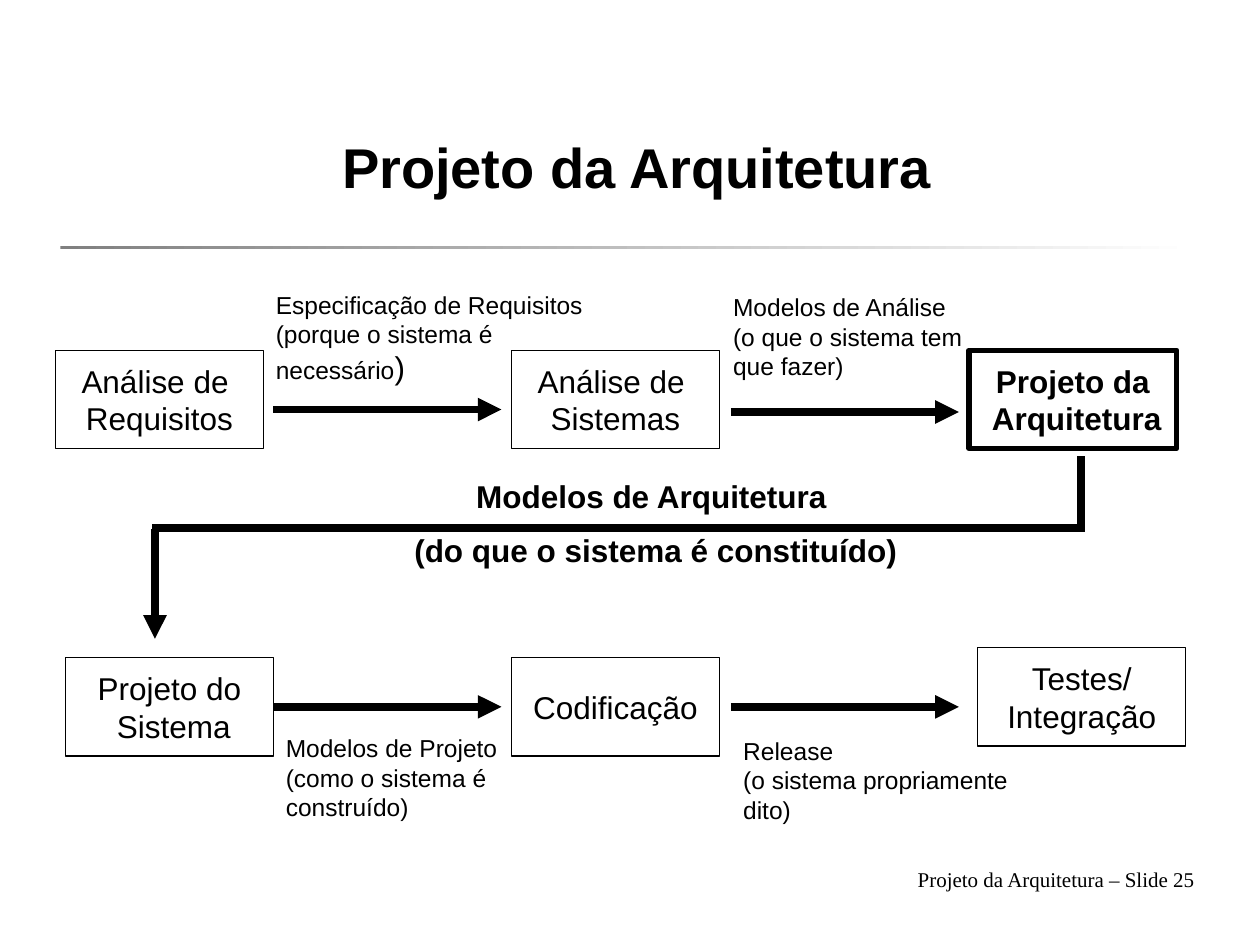
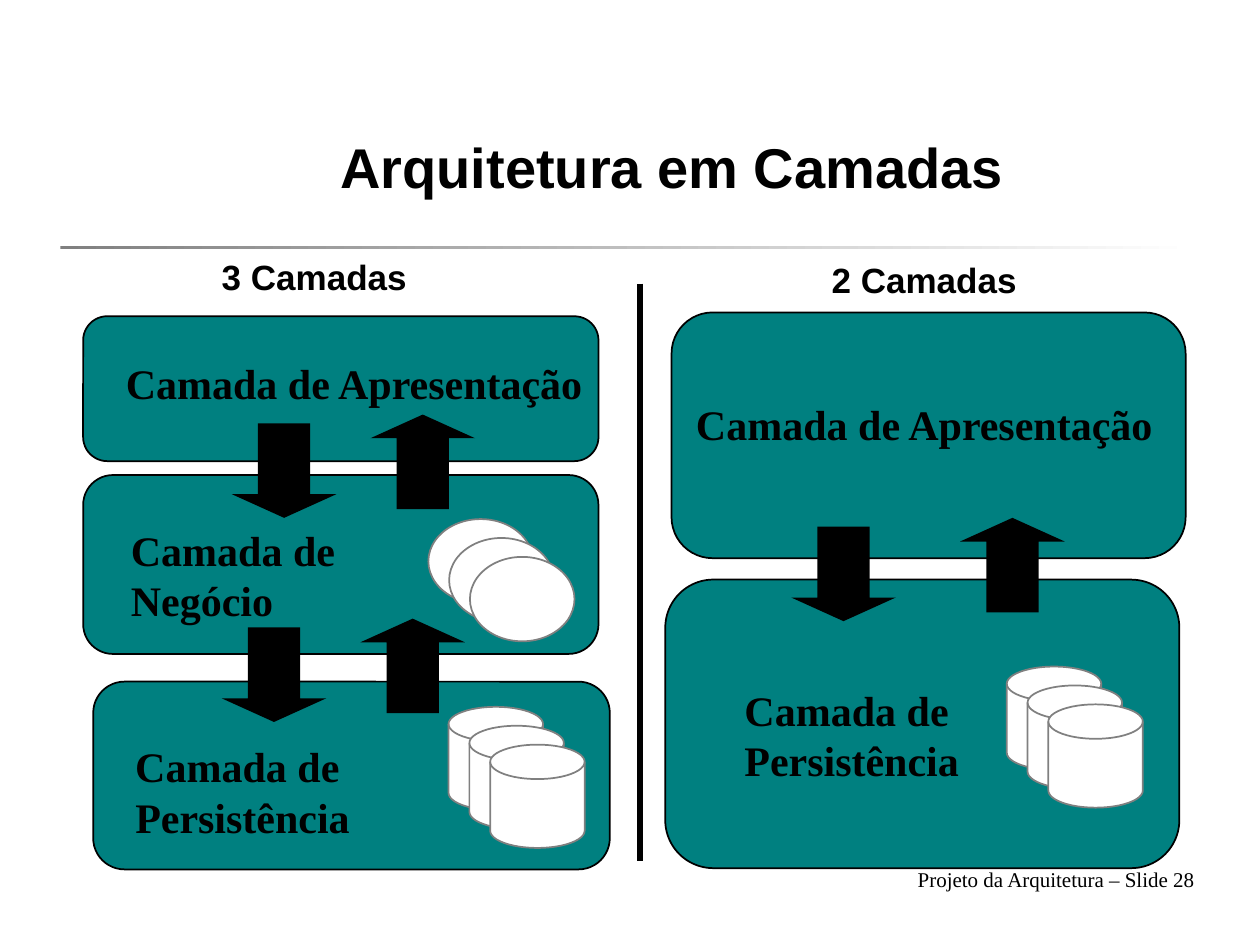
from lxml import etree
from pptx import Presentation
from pptx.dml.color import RGBColor
from pptx.enum.shapes import MSO_CONNECTOR, MSO_SHAPE
from pptx.enum.text import MSO_ANCHOR, PP_ALIGN
from pptx.oxml.ns import qn
from pptx.util import Inches, Pt

LEFT, CENTER, RIGHT = PP_ALIGN.LEFT, PP_ALIGN.CENTER, PP_ALIGN.RIGHT
TOP, MIDDLE = MSO_ANCHOR.TOP, MSO_ANCHOR.MIDDLE
STRAIGHT = MSO_CONNECTOR.STRAIGHT
RECT, ROUNDED = MSO_SHAPE.RECTANGLE, MSO_SHAPE.ROUNDED_RECTANGLE
OVAL, DISK = MSO_SHAPE.OVAL, MSO_SHAPE.FLOWCHART_MAGNETIC_DISK
DOWN_ARROW = MSO_SHAPE.DOWN_ARROW

BLACK, WHITE, GRAY, TEAL = "000000", "FFFFFF", "808080", "008080"
SANS, SERIF = "Arial", "Times New Roman"

STEP_SIZE = (1.65, 0.78)
STEPS = {
    "requisitos": (0.44, 2.78, ["Análise de ", "Requisitos"]),
    "sistemas": (4.06, 2.78, ["Análise de ", "Sistemas"]),
    "arquitetura": (7.69, 2.78, ["Projeto da", " Arquitetura"]),
    "sistema": (0.52, 5.22, ["Projeto do", " Sistema"]),
    "codificação": (4.06, 5.22, ["Codificação"]),
    "testes": (7.76, 5.14, ["Testes/", "Integração"]),
}
CURRENT_STEP = "arquitetura"
FLOWS = [
    ((2.17, 3.25), (3.98, 3.25), True, None),
    ((5.8, 3.27), (7.61, 3.27), True, None),
    ((8.58, 4.17), (8.58, 3.62), False, None),
    ((8.61, 4.19), (1.21, 4.19), False, None),
    ((1.23, 4.2), (1.23, 5.07), True, None),
    ((2.17, 5.61), (3.98, 5.61), True, "sistema"),
    ((5.8, 5.61), (7.61, 5.61), True, None),
]
PRODUCTS = [
    ((2.09, 2.25, 2.78, 0.87),
     ["Especificação de Requisitos (porque o sistema é necessário"], ")"),
    ((5.72, 2.27, 2.07, 1.03),
     ["Modelos de Análise (o que o sistema tem que fazer)"], ""),
    ((2.17, 5.77, 2.54, 1.03),
     ["Modelos de Projeto", "(como o sistema é construído)"], ""),
    ((5.8, 5.79, 2.54, 1.03),
     ["Release", "(o sistema propriamente dito)"], ""),
]
ARCHITECTURE_MODELS = ["Modelos de Arquitetura ", "(do que o sistema é constituído)"]

ARCHITECTURES = [
    {
        "heading": ("3 Camadas", 0.33, 1.98),
        "layers": [(0.66, 2.51, 4.09, 1.15), (0.66, 3.77, 4.09, 1.42),
                   (0.74, 5.41, 4.1, 1.49)],
        "names": [
            (["Camada de Apresentação"], (0.9, 2.79, 3.86, 0.5), LEFT),
            (["Camada de", "Negócio"], (0.94, 4.11, 1.91, 0.9), LEFT),
            (["Camada de ", "Persistência"], (0.97, 5.83, 1.91, 0.9), CENTER),
        ],
        "exchanges": [(1.84, 3.36), (1.76, 4.98)],
        "exchange_gap": 1.1,
        "stacks": [(OVAL, (3.4, 4.12), (0.83, 0.67)),
                   (DISK, (3.56, 5.61), (0.75, 0.82))],
    },
    {
        "heading": ("2 Camadas", 5.17, 2),
        "layers": [(5.33, 2.48, 4.08, 1.95), (5.28, 4.6, 4.08, 2.29)],
        "names": [
            (["Camada de Apresentação"], (5.41, 3.11, 3.85, 0.5), CENTER),
            (["Camada de Persistência"], (5.81, 5.38, 3.18, 0.9), LEFT),
        ],
        "exchanges": [(6.28, 4.18)],
        "exchange_gap": 1.34,
        "stacks": [(DISK, (7.99, 5.29), (0.75, 0.82))],
    },
]


def color(code):
    return RGBColor.from_string(code)


def write(frame, lines, size, font=SANS, bold=False, align=LEFT, anchor=TOP,
          wrap=True, gap=0):
    frame.word_wrap = wrap
    frame.vertical_anchor = anchor
    for index, line in enumerate(lines):
        paragraph = frame.paragraphs[0] if index == 0 else frame.add_paragraph()
        paragraph.text = line
        paragraph.alignment = align
        if index and gap:
            paragraph.space_before = Pt(gap)
        paragraph.font.name = font
        paragraph.font.size = Pt(size)
        paragraph.font.bold = bold
        paragraph.font.color.rgb = color(BLACK)


def add_text(slide, box, lines, size, **style):
    frame = slide.shapes.add_textbox(*map(Inches, box)).text_frame
    write(frame, lines, size, **style)
    return frame


def add_block(slide, preset, box, fill=None, line=None, width=1):
    block = slide.shapes.add_shape(preset, *map(Inches, box))
    block.shadow.inherit = False
    if fill:
        block.fill.solid()
        block.fill.fore_color.rgb = color(fill)
    else:
        block.fill.background()
    if line:
        block.line.color.rgb = color(line)
        block.line.width = Pt(width)
    else:
        block.line.fill.background()
    return block


def add_line(slide, start, end, width, arrow=False):
    line = slide.shapes.add_connector(STRAIGHT, *map(Inches, start + end))
    line.line.color.rgb = color(BLACK)
    line.line.width = Pt(width)
    if arrow:
        etree.SubElement(line.line._get_or_add_ln(), qn("a:tailEnd"), type="triangle")
    etree.SubElement(line._element.spPr, qn("a:effectLst"))
    return line


def add_page(deck, title, title_box, number):
    slide = deck.slides.add_slide(deck.slide_layouts[6])
    rule = add_block(slide, RECT, (0.48, 1.95, 9, 0.03))
    rule.fill.gradient()
    rule.fill.gradient_angle = 0
    for stop, shade, position in zip(rule.fill.gradient_stops, (GRAY, WHITE), (0, 1)):
        stop.color.rgb = color(shade)
        stop.position = position
    add_text(slide, (6.5, 6.83, 3.08, 0.52),
             [f"Projeto da Arquitetura – Slide {number}"], 12, font=SERIF, align=RIGHT)
    add_text(slide, title_box, [title], 32, bold=True, align=CENTER, anchor=MIDDLE)
    return slide


def build_process(deck):
    slide = add_page(deck, "Projeto da Arquitetura", (1.06, 0.75, 7.99, 1.13), 25)
    steps = {}
    for key, (left, top, lines) in STEPS.items():
        current = key == CURRENT_STEP
        step = add_block(slide, RECT, (left, top, *STEP_SIZE), line=BLACK,
                         width=3 if current else 0.75)
        write(step.text_frame, lines, 18, bold=current, align=CENTER,
              anchor=MIDDLE, wrap=False)
        steps[key] = step
    for start, end, arrow, origin in FLOWS:
        flow = add_line(slide, start, end, 4.5, arrow)
        if origin:
            flow.begin_connect(steps[origin], 3)
    for box, lines, closing in PRODUCTS:
        product = add_text(slide, box, lines, 14)
        if closing:
            run = product.paragraphs[-1].add_run()
            run.text = closing
            run.font.size = Pt(18)
    add_text(slide, (2.33, 3.74, 5.75, 1.15), ARCHITECTURE_MODELS, 18, bold=True,
             align=CENTER, gap=9)


def add_exchange(slide, left, top, gap):
    for x, y, turn in ((left, top, 0), (left + gap, top - 0.07, 180)):
        arrow = add_block(slide, DOWN_ARROW, (x, y, 0.83, 0.75), fill=BLACK)
        arrow.adjustments[0] = 0.5
        arrow.adjustments[1] = 0.25
        arrow.rotation = turn


def build_layers(deck):
    slide = add_page(deck, "Arquitetura em Camadas", (1.5, 0.69, 7.67, 1.25), 28)
    add_line(slide, (5.08, 2.25), (5.08, 6.83), 3)
    for architecture in ARCHITECTURES:
        for layer in architecture["layers"]:
            add_block(slide, ROUNDED, layer, fill=TEAL, line=BLACK)
        for lines, box, align in architecture["names"]:
            add_text(slide, box, lines, 24, font=SERIF, bold=True, align=align)
        for left, top in architecture["exchanges"]:
            add_exchange(slide, left, top, architecture["exchange_gap"])
        for preset, (left, top), size in architecture["stacks"]:
            for i in range(3):
                add_block(slide, preset, (left + 0.165 * i, top + 0.15 * i, *size),
                          fill=WHITE, line=GRAY)
        heading, left, top = architecture["heading"]
        add_text(slide, (left, top, 4.33, 0.43), [heading], 20, bold=True, align=CENTER)


def main():
    deck = Presentation()
    deck.slide_width, deck.slide_height = Inches(10), Inches(7.5)
    build_process(deck)
    build_layers(deck)
    deck.save("out.pptx")


if __name__ == "__main__":
    main()
